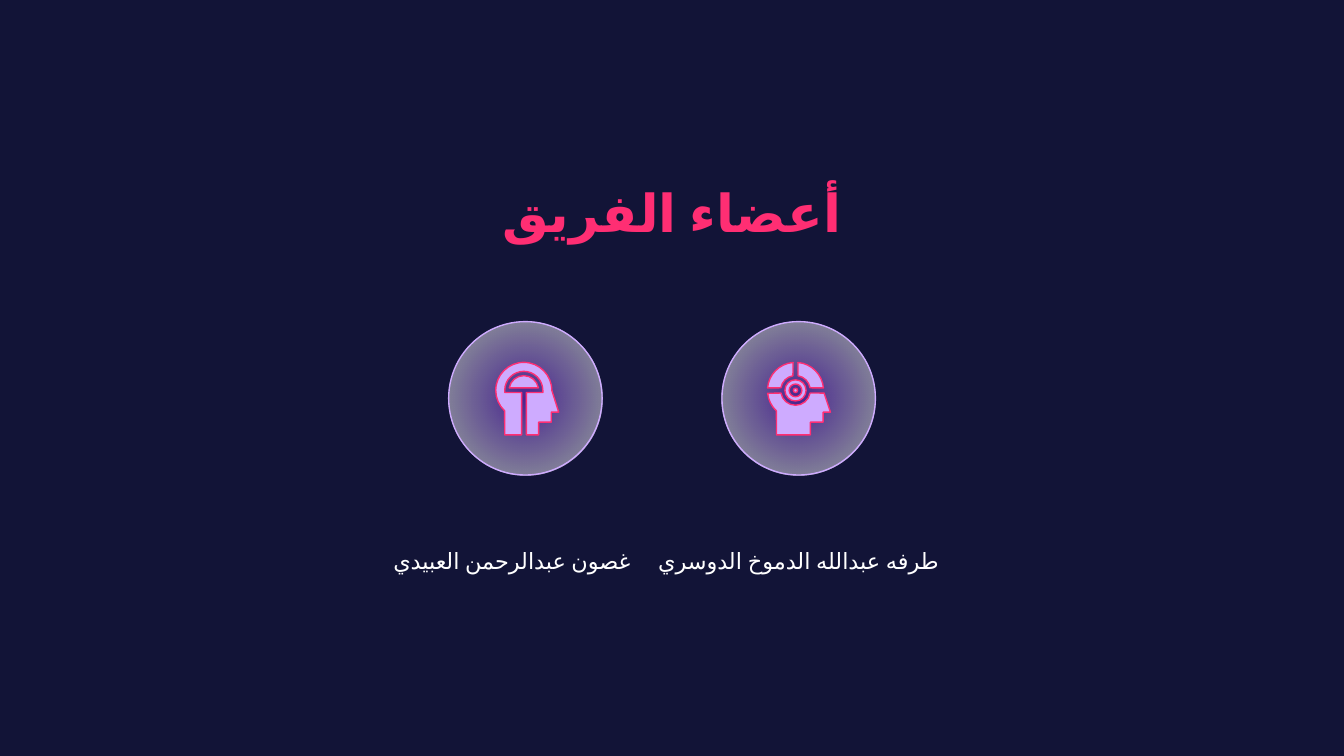
import math
from dataclasses import dataclass

import pptx
import pptx.dml.color
import pptx.enum.lang
import pptx.enum.shapes
import pptx.enum.text
import pptx.oxml
import pptx.oxml.ns
import pptx.util
from lxml import etree
from pptx.util import Cm


@dataclass(frozen=True)
class Theme:
    """Colours, type and line sizes of the slide."""
    night: str = "121437"
    pink: str = "FF2E73"
    lilac: str = "CEABFF"
    violet: str = "8134EC"
    white: str = "FFFFFF"
    face: str = "Roboto"
    title_size: int = 28
    name_size: int = 12
    outline: float = 0.75
    glow_alpha: int = 49


THEME = Theme()
CENTER = pptx.enum.text.PP_ALIGN.CENTER
ARABIC = pptx.enum.lang.MSO_LANGUAGE_ID.ARABIC
FRAME = {
    "word_wrap": True,
    "auto_size": pptx.enum.text.MSO_AUTO_SIZE.NONE,
    "vertical_anchor": pptx.enum.text.MSO_ANCHOR.TOP,
    **{f"margin_{side}": Cm(0.25) for side in ("left", "top", "right", "bottom")},
}


def apply(target, values):
    """Set every attribute in values on target."""
    for key, value in values.items():
        setattr(target, key, value)


def rgb(code):
    """Return the colour for a hex code."""
    return pptx.dml.color.RGBColor.from_string(code)


def write(frame, words, font_values, color, paragraph_values):
    """Write one right-to-left paragraph in a text frame."""
    apply(frame, FRAME)
    paragraph = frame.paragraphs[0]
    apply(paragraph, {"alignment": CENTER, **paragraph_values})
    paragraph._p.get_or_add_pPr().set("rtl", "1")
    run = paragraph.add_run()
    run.text = words
    apply(run.font, {"name": THEME.face, "language_id": ARABIC, **font_values})
    run.font.color.rgb = rgb(color)
    for script in ("a:ea", "a:cs"):
        etree.SubElement(run._r.get_or_add_rPr(), pptx.oxml.ns.qn(script),
                         typeface=THEME.face)


def style_outline(shape, color):
    """Give a shape a thin line and no shadow."""
    shape.shadow.inherit = False
    shape.line.color.rgb = rgb(color)
    shape.line.width = pptx.util.Pt(THEME.outline)


def arc(radius, start, end):
    """Return (x, y, curved) points of a Bezier arc in cm, clockwise from the right."""
    count = math.ceil(abs(end - start) / 90)
    step = math.radians(end - start) / count
    pull = 4 / 3 * math.tan(step / 4)
    first = math.radians(start)
    points = [(radius * math.cos(first), radius * math.sin(first), False)]
    for i in range(count):
        a, b = first + i * step, first + (i + 1) * step
        points += [
            (radius * (math.cos(a) - pull * math.sin(a)),
             radius * (math.sin(a) + pull * math.cos(a)), True),
            (radius * (math.cos(b) + pull * math.sin(b)),
             radius * (math.sin(b) - pull * math.cos(b)), True),
            (radius * math.cos(b), radius * math.sin(b), True),
        ]
    return points


def corners(*points):
    """Return straight-edged (x, y, curved) points."""
    return [(x, y, False) for x, y in points]


HEAD = 0.53
NAPE = arc(HEAD, 180, 133)[1:] + corners((-0.36, 0.84))
PROFILE = corners((0.28, 0.84), (0.28, 0.6), (0.52, 0.6), (0.52, 0.41), (0.66, 0.41))
TARGET_HEAD = [
    [arc(0.12, 0, 360), arc(0.2, 0, 360)],
    [arc(0.04, 0, 360)],
    [corners((0.54, 0.05)) + arc(0.28, 10, 170) + arc(HEAD, 174, 133)
     + NAPE[-1:] + PROFILE],
    [arc(0.28, 190, 260) + arc(HEAD, 265, 185)],
    [arc(0.28, 280, 350) + arc(HEAD, 355, 275)],
]
DOME_HEAD = [
    [arc(0.28, 190, 350)],
    [arc(HEAD, 360, 180) + NAPE + corners((-0.04, 0.84), (-0.04, 0.04), (-0.36, 0.04))
     + arc(0.36, 180, 360) + corners((0.36, 0.04), (0.05, 0.04), (0.05, 0.84)) + PROFILE],
]


def draw_title(slide, box):
    """Place the slide title in box."""
    title = slide.shapes.title
    apply(title, dict(zip(("left", "top", "width", "height"), box)))
    write(title.text_frame, "أعضاء الفريق",
          {"size": pptx.util.Pt(THEME.title_size), "bold": True}, THEME.pink, {})


def draw_badge(slide, box):
    """Draw the glowing circle in box."""
    badge = slide.shapes.add_shape(pptx.enum.shapes.MSO_SHAPE.OVAL, *box)
    style_outline(badge, THEME.lilac)
    badge.fill.background()
    stops = "".join(
        f'<a:gs pos="{place * 1000}"><a:srgbClr val="{color}">'
        f'<a:alpha val="{THEME.glow_alpha * 1000}"/></a:srgbClr></a:gs>'
        for place, color in ((0, THEME.violet), (77, THEME.white), (100, THEME.white)))
    glow = pptx.oxml.parse_xml(
        f'<a:gradFill {pptx.oxml.ns.nsdecls("a")}><a:gsLst>{stops}</a:gsLst>'
        '<a:path path="circle"><a:fillToRect l="50000" t="50000" r="50000" b="50000"/>'
        '</a:path></a:gradFill>')
    properties = badge._element.spPr
    properties.replace(properties.find(pptx.oxml.ns.qn("a:noFill")), glow)


def bend(piece, contours):
    """Turn each three curved points of a freeform into one Bezier segment."""
    qn = pptx.oxml.ns.qn
    steps = list(piece._element.iter(qn("a:moveTo"), qn("a:lnTo")))
    flags = [curved for contour in contours for _, _, curved in contour]
    curved_steps = [step for step, curved in zip(steps, flags) if curved]
    for i in range(0, len(curved_steps), 3):
        trio = curved_steps[i:i + 3]
        trio[0].tag = qn("a:cubicBezTo")
        for step in trio[1:]:
            trio[0].append(step[0])
            step.getparent().remove(step)


def draw_head(slide, center, pieces):
    """Draw the pieces of a head around center as one group."""
    head = slide.shapes.add_group_shape().shapes
    for contours in pieces:
        placed = [[(center[0] + Cm(x), center[1] + Cm(y)) for x, y, _ in contour]
                  for contour in contours]
        outline = head.build_freeform(*placed[0][0])
        outline.add_line_segments(placed[0][1:])
        for contour in placed[1:]:
            outline.move_to(*contour[0])
            outline.add_line_segments(contour[1:])
        piece = outline.convert_to_shape()
        bend(piece, contours)
        piece.fill.solid()
        piece.fill.fore_color.rgb = rgb(THEME.lilac)
        style_outline(piece, THEME.pink)


def draw_member(slide, box, name, pieces, head_shift, name_shift, space_after):
    """Draw one member: a badge at the top of box and the name at its foot."""
    left, top, width, height = box
    middle = left + width // 2
    side = Cm(2.9)
    draw_badge(slide, (middle - side // 2, top, side, side))
    draw_head(slide, (middle + head_shift, top + side // 2 - Cm(0.15)), pieces)
    label = slide.shapes.add_textbox(left + name_shift, top + Cm(3.5),
                                     width, height - Cm(3.5))
    write(label.text_frame, name, {"size": pptx.util.Pt(THEME.name_size)}, THEME.white,
          {"line_spacing": 2.0, "space_after": pptx.util.Pt(space_after)})


def main():
    """Build and save the team slide."""
    deck = pptx.Presentation()
    apply(deck, {"slide_width": Cm(25.4), "slide_height": Cm(14.29)})
    slide = deck.slides.add_slide(deck.slide_layouts[5])
    slide.background.fill.solid()
    slide.background.fill.fore_color.rgb = rgb(THEME.night)
    draw_title(slide, (Cm(2), Cm(3.15), Cm(21.4), Cm(1.6)))
    draw_member(slide, (Cm(11.96), Cm(6.08), Cm(6.27), Cm(4.59)),
                "طرفه عبدالله الدموخ الدوسري", TARGET_HEAD, Cm(-0.06), Cm(0), 0)
    draw_member(slide, (Cm(7.16), Cm(6.08), Cm(5.54), Cm(4.85)),
                "غصون عبدالرحمن العبيدي", DOME_HEAD, Cm(-0.03), Cm(-0.25), 16)
    deck.save("out.pptx")


if __name__ == "__main__":
    main()
